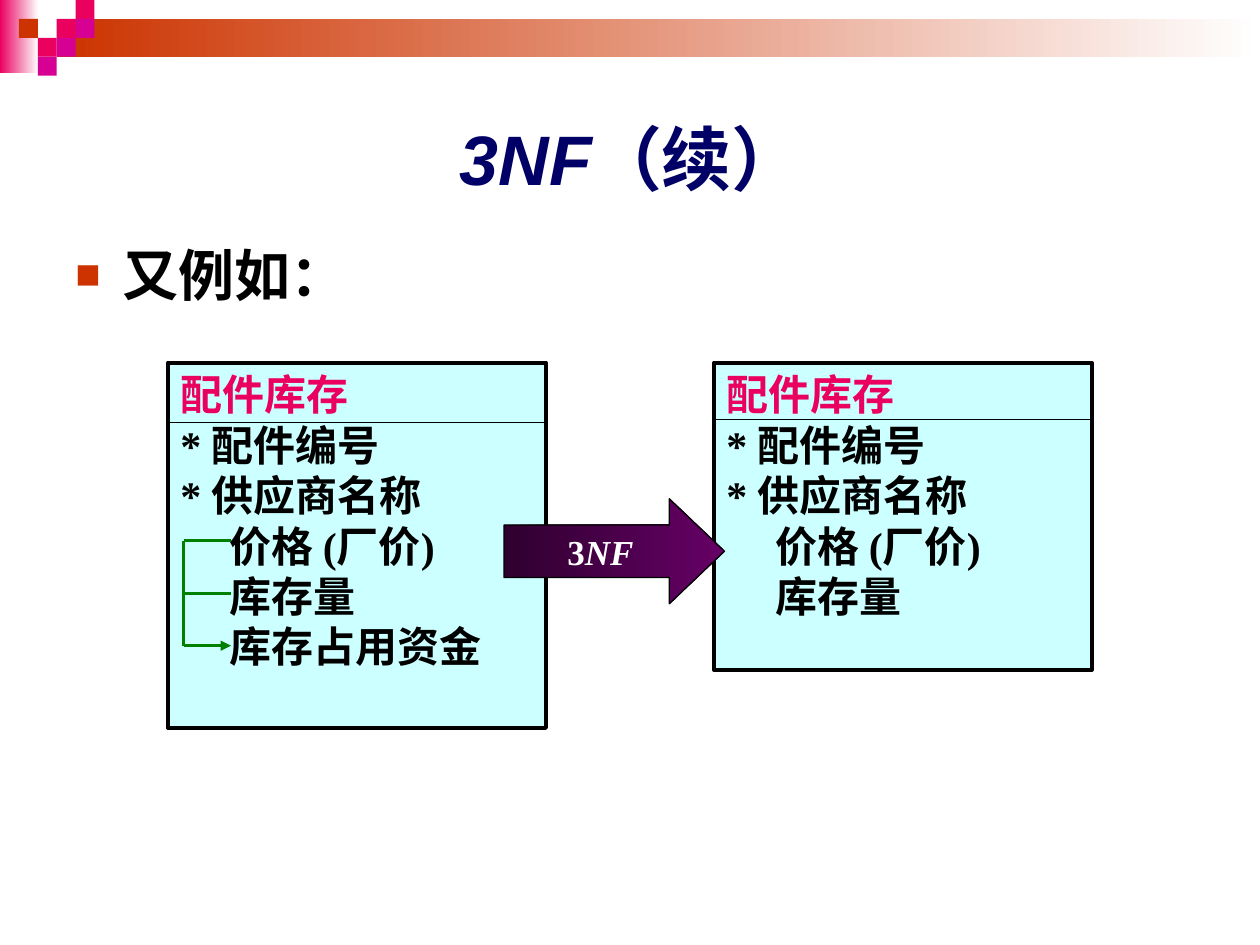
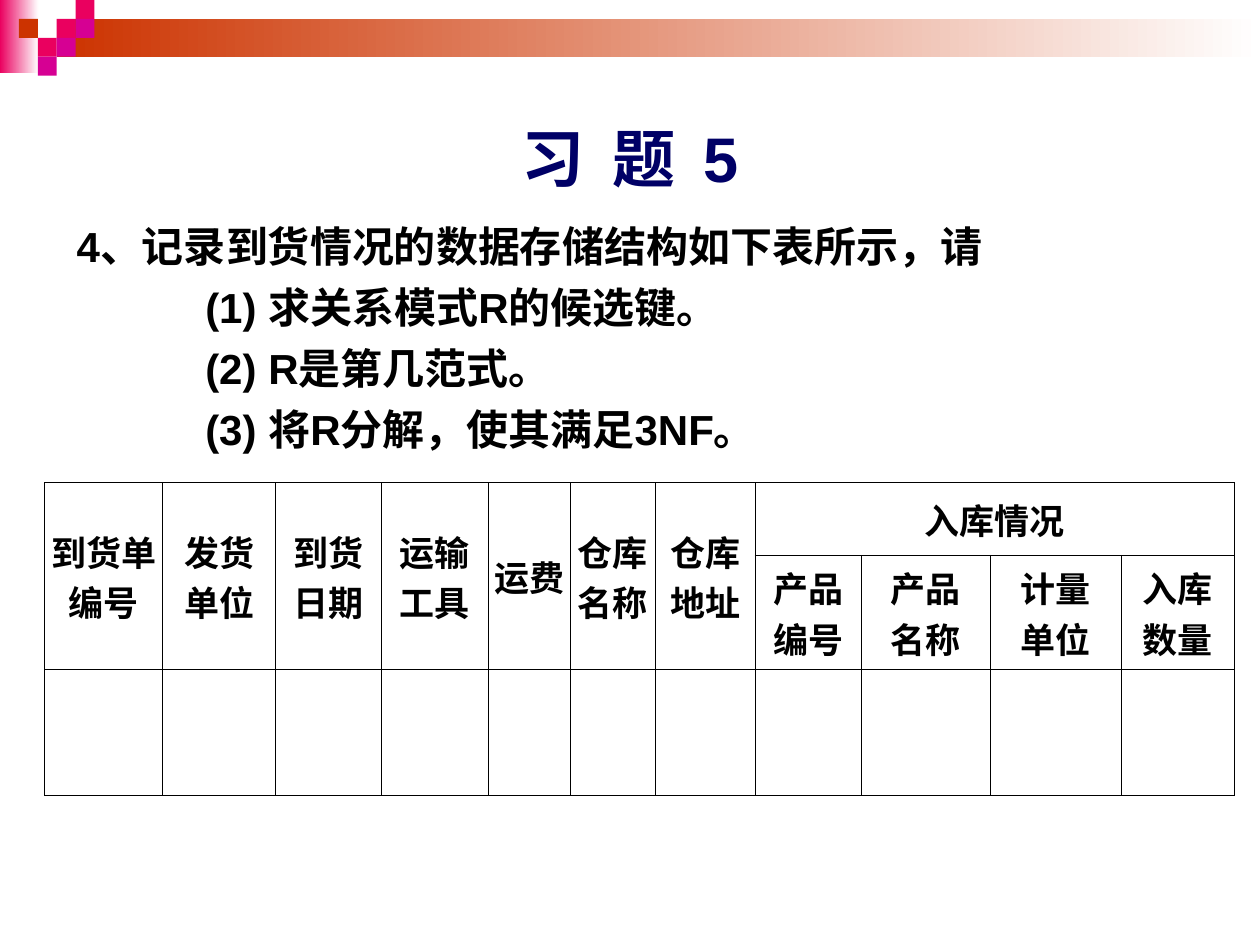
"""Build two database-design slides: a 3NF example and a normalisation exercise."""

from lxml.etree import SubElement
from pptx import Presentation
from pptx.dml.color import RGBColor
from pptx.enum.shapes import MSO_CONNECTOR, MSO_SHAPE
from pptx.enum.text import MSO_ANCHOR, PP_ALIGN
from pptx.oxml.ns import qn
from pptx.util import Pt

BLACK = RGBColor(0x00, 0x00, 0x00)
WHITE = RGBColor(0xFF, 0xFF, 0xFF)
NAVY = RGBColor(0x00, 0x00, 0x66)
PINK = RGBColor(0xEA, 0x00, 0x5F)
MAGENTA = RGBColor(0xD6, 0x00, 0x93)
RUST = RGBColor(0xCC, 0x33, 0x00)
PALE_CYAN = RGBColor(0xCC, 0xFF, 0xFF)
GREEN = RGBColor(0x00, 0x80, 0x00)
DARK_PURPLE = RGBColor(0x2F, 0x00, 0x2F)
PURPLE = RGBColor(0x66, 0x00, 0x66)

SANS = "Arial"
SERIF = "Times New Roman"
CHINESE = "Noto Sans CJK SC"

UNIT = 10.8
GRADIENT_BARS = [
    (0, 0, 22, 42, PINK),
    (3 * UNIT, UNIT, 720 - 3 * UNIT, 2 * UNIT, RUST),
]
SQUARES = [
    (3, 1, PINK), (4, 0, PINK), (4, 1, MAGENTA), (2, 2, PINK),
    (1, 1, RUST), (3, 2, MAGENTA), (2, 3, MAGENTA),
]


def style_para(para, size, color, name, indent=0):
    """Format a whole paragraph in bold, with an optional left indent."""
    if indent:
        para._p.get_or_add_pPr().set("marL", str(Pt(indent)))
    font = para.font
    font.size, font.bold, font.name = Pt(size), True, name
    font.color.rgb = color
    SubElement(font._rPr, qn("a:ea"), typeface=CHINESE)


def draw_line(page, x1, y1, x2, y2, color, width):
    """Draw a straight line without a shadow and return it."""
    line = page.shapes.add_connector(
        MSO_CONNECTOR.STRAIGHT, Pt(x1), Pt(y1), Pt(x2), Pt(y2))
    line.line.color.rgb = color
    line.line.width = Pt(width)
    SubElement(line._element.spPr, qn("a:effectLst"))
    return line


deck = Presentation()
deck.slide_width, deck.slide_height = Pt(720), Pt(540)

pages = []
for left, width, size, title_runs, tracking in [
    (65.5, 590, 40, [("3NF", True), ("（续）", False)], 0),
    (36, 648, 36, [("习 题 5", False)], 400),
]:
    page = deck.slides.add_slide(deck.slide_layouts[5])
    pages.append(page)
    for x, y, bar_width, bar_height, color in GRADIENT_BARS:
        bar = page.shapes.add_shape(
            MSO_SHAPE.RECTANGLE, Pt(x), Pt(y), Pt(bar_width), Pt(bar_height))
        bar.shadow.inherit = False
        bar.line.fill.background()
        bar.fill.gradient()
        bar.fill.gradient_angle = 0
        for stop, stop_color in zip(bar.fill.gradient_stops, (color, WHITE)):
            stop.color.rgb = stop_color
    for column, row, color in SQUARES:
        square = page.shapes.add_shape(
            MSO_SHAPE.RECTANGLE, Pt(column * UNIT), Pt(row * UNIT), Pt(UNIT), Pt(UNIT))
        square.shadow.inherit = False
        square.line.fill.background()
        square.fill.solid()
        square.fill.fore_color.rgb = color

    title = page.shapes.title
    title.left, title.top, title.width, title.height = Pt(left), Pt(36), Pt(width), Pt(108)
    title.text_frame.vertical_anchor = MSO_ANCHOR.MIDDLE
    para = title.text_frame.paragraphs[0]
    para.alignment = PP_ALIGN.CENTER
    style_para(para, size, NAVY, SANS)
    for text, italic in title_runs:
        span = para.add_run()
        span.text = text
        span.font.italic = italic
        if tracking:
            span.font._rPr.set("spc", str(tracking))

example_page, exercise_page = pages

KEYS = ["* 配件编号", "* 供应商名称"]
ATTRIBUTES = ["价格 (厂价)", "库存量"]
for left, height, rule_y, attributes in [
    (96, 208.75, 241.25, ATTRIBUTES + ["库存占用资金"]),
    (408, 175.5, 239.75, ATTRIBUTES),
]:
    card = example_page.shapes.add_shape(
        MSO_SHAPE.RECTANGLE, Pt(left), Pt(207.25), Pt(216), Pt(height))
    card.shadow.inherit = False
    card.fill.solid()
    card.fill.fore_color.rgb = PALE_CYAN
    card.line.color.rgb = BLACK
    card.line.width = Pt(2.25)
    frame = card.text_frame
    frame.word_wrap = True
    frame.vertical_anchor = MSO_ANCHOR.TOP
    frame.text = "\n".join(["配件库存"] + KEYS + attributes)
    for index, para in enumerate(frame.paragraphs):
        para.alignment = PP_ALIGN.LEFT
        style_para(para, 24, BLACK if index else PINK, SERIF,
                   28 if index > len(KEYS) else 0)
    draw_line(example_page, left, rule_y, left + 216, rule_y, BLACK, 0.75)

BRACKET_LEFT, BRACKET_RIGHT = 105, 132
PRICE_Y, STOCK_Y, FUNDS_Y = 309, 339, 369
for y in (PRICE_Y, STOCK_Y):
    draw_line(example_page, BRACKET_RIGHT, y, BRACKET_LEFT, y, GREEN, 1.5)
draw_line(example_page, BRACKET_LEFT, PRICE_Y, BRACKET_LEFT, FUNDS_Y, GREEN, 1.5)
dependency = draw_line(
    example_page, BRACKET_LEFT, FUNDS_Y, BRACKET_RIGHT, FUNDS_Y, GREEN, 1.5)
SubElement(dependency.line._get_or_add_ln(), qn("a:tailEnd"), type="triangle")

arrow = example_page.shapes.add_shape(
    MSO_SHAPE.RIGHT_ARROW, Pt(288), Pt(285), Pt(126), Pt(60))
arrow.adjustments[0], arrow.adjustments[1] = 0.5, 0.525
arrow.shadow.inherit = False
arrow.fill.gradient()
arrow.fill.gradient_angle = 0
for stop, stop_color in zip(arrow.fill.gradient_stops, (DARK_PURPLE, PURPLE)):
    stop.color.rgb = stop_color
arrow.line.color.rgb = BLACK
arrow.line.width = Pt(0.75)
para = arrow.text_frame.paragraphs[0]
para.alignment = PP_ALIGN.CENTER
style_para(para, 20, WHITE, SERIF)
for text, italic in [("3", False), ("NF", True)]:
    span = para.add_run()
    span.text = text
    span.font.italic = italic

lead_box = example_page.shapes.add_textbox(Pt(36), Pt(134), Pt(648), Pt(306))
lead_box.text_frame.word_wrap = True
para = lead_box.text_frame.paragraphs[0]
para.text = "又例如："
properties = para._p.get_or_add_pPr()
properties.set("marL", str(Pt(27)))
properties.set("indent", str(Pt(-27)))
bullet_color = SubElement(properties, qn("a:buClr"))
SubElement(bullet_color, qn("a:srgbClr"), val=str(RUST))
SubElement(properties, qn("a:buSzPct"), val="75000")
SubElement(properties, qn("a:buFont"), typeface=SANS)
SubElement(properties, qn("a:buChar"), char="■")
style_para(para, 32, BLACK, SANS)

question_box = exercise_page.shapes.add_textbox(Pt(36.75), Pt(122.5), Pt(620.5), Pt(160.5))
frame = question_box.text_frame
frame.word_wrap = True
frame.text = "\n".join([
    "4、记录到货情况的数据存储结构如下表所示，请",
    "(1) 求关系模式R的候选键。",
    "(2) R是第几范式。",
    "(3) 将R分解，使其满足3NF。",
])
for index, para in enumerate(frame.paragraphs):
    if index:
        para.space_before = Pt(6)
    style_para(para, 24, BLACK, SANS, 73.5 if index else 0)

COLUMN_WIDTHS = [67.5, 64.5, 60.5, 61, 47, 48.5, 57, 61, 73.5, 75, 64.5]
ROW_HEIGHTS = [41.5, 65.5, 72]
ARRIVAL_HEADS = ["到货单\n编号", "发货\n单位", "到货\n日期", "运输\n工具",
                 "运费", "仓库\n名称", "仓库\n地址"]
STORAGE_HEADS = ["产品\n编号", "产品\n名称", "计量\n单位", "入库\n数量"]
FIRST_STORAGE = len(ARRIVAL_HEADS)

grid = exercise_page.shapes.add_table(
    len(ROW_HEIGHTS), len(COLUMN_WIDTHS), Pt(25.5), Pt(275.75),
    Pt(sum(COLUMN_WIDTHS)), Pt(sum(ROW_HEIGHTS))).table
grid.first_row = grid.horz_banding = False
for column, width in zip(grid.columns, COLUMN_WIDTHS):
    column.width = Pt(width)
for row, height in zip(grid.rows, ROW_HEIGHTS):
    row.height = Pt(height)

for index, head in enumerate(ARRIVAL_HEADS):
    grid.cell(0, index).merge(grid.cell(1, index))
    grid.cell(0, index).text = head
grid.cell(0, FIRST_STORAGE).merge(grid.cell(0, len(COLUMN_WIDTHS) - 1))
grid.cell(0, FIRST_STORAGE).text = "入库情况"
for index, head in enumerate(STORAGE_HEADS, FIRST_STORAGE):
    grid.cell(1, index).text = head

for cell in grid.iter_cells():
    cell.margin_left = cell.margin_right = Pt(1.5)
    cell.vertical_anchor = MSO_ANCHOR.MIDDLE
    for side in ("a:lnL", "a:lnR", "a:lnT", "a:lnB"):
        border = SubElement(cell._tc.get_or_add_tcPr(), qn(side), w=str(Pt(0.45)))
        SubElement(SubElement(border, qn("a:solidFill")), qn("a:srgbClr"), val=str(BLACK))
    cell.fill.background()
    for para in cell.text_frame.paragraphs:
        para.alignment = PP_ALIGN.CENTER
        style_para(para, 20, BLACK, CHINESE)

deck.save("out.pptx")
